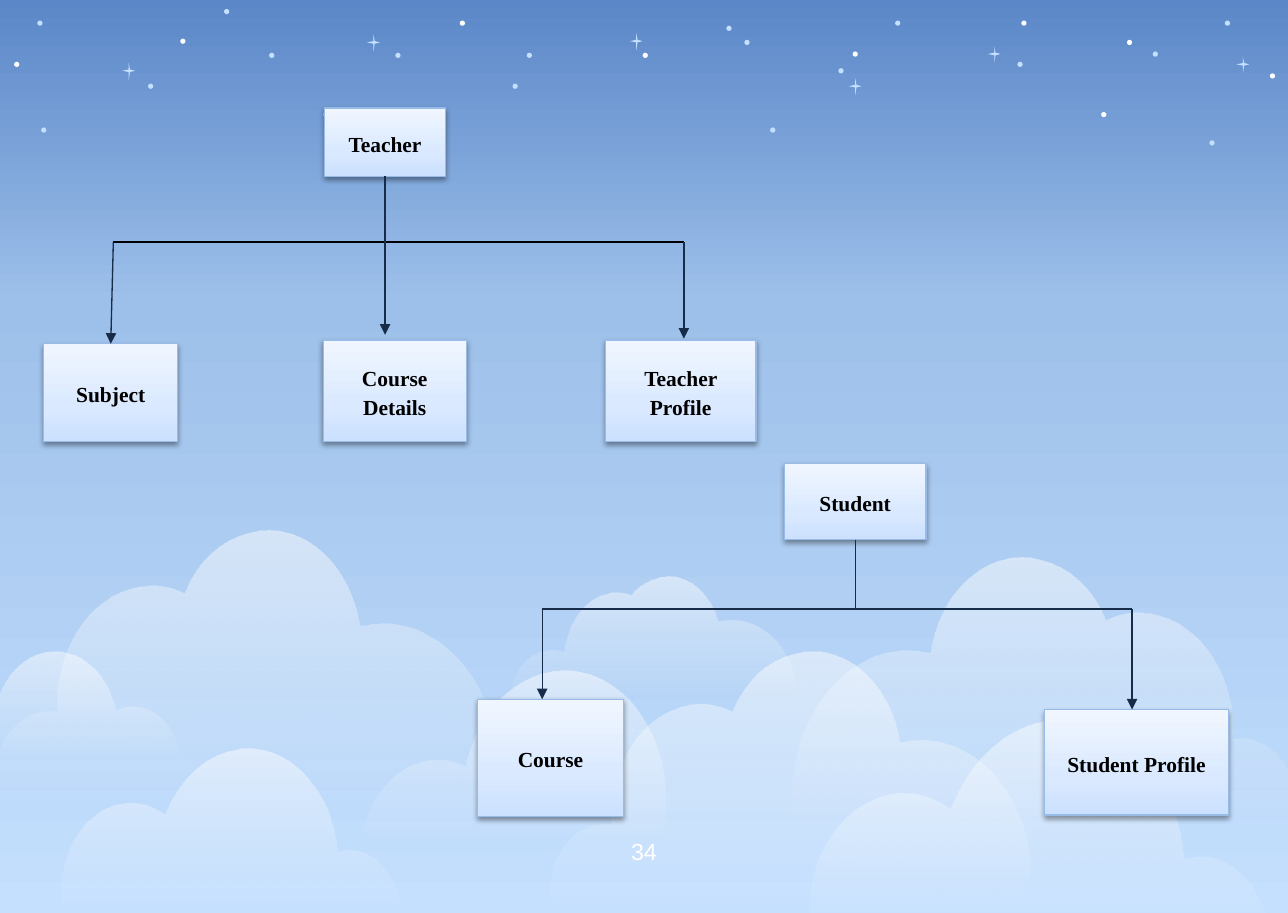
from lxml.etree import SubElement
from pptx import Presentation
from pptx.dml.color import RGBColor
from pptx.enum.shapes import MSO_CONNECTOR as Connector, MSO_SHAPE as Shape
from pptx.enum.text import MSO_ANCHOR as Anchor, PP_ALIGN as Align
from pptx.oxml.ns import qn
from pptx.util import Emu, Pt

EMU_PER_PX = 9144  # 100 px to the inch
SLIDE_W, SLIDE_H = 1000, 709
BOTTOM, TOP = 2, 0  # connection sites of a rectangle

WHITE = RGBColor(0xFF, 0xFF, 0xFF)
BLACK = RGBColor(0x00, 0x00, 0x00)
PALE = RGBColor(0xC5, 0xE0, 0xFE)
NAVY = RGBColor(0x17, 0x2C, 0x49)
BOX_EDGE = RGBColor(0x98, 0xBC, 0xE7)

# Gradient stops from top to bottom: position %, colour, opacity %
SKY = [(0, RGBColor(0x5B, 0x87, 0xC8), 100),
       (33, RGBColor(0x9D, 0xC0, 0xEA), 100), (100, PALE, 100)]
MIST = [(0, WHITE, 51), (100, WHITE, 0)]
BOX_FILL = [(0, RGBColor(0xF0, 0xF6, 0xFF), 100),
            (65, RGBColor(0xDA, 0xE9, 0xFF), 100),
            (100, RGBColor(0xCB, 0xE1, 0xFF), 100)]

# Cloud outlines: width, start point, then Bezier curves
BIG = (392, (390, 212), [
    (391, 203, 392, 194, 392, 185), (392, 123, 352, 72, 302, 72),
    (296, 72, 291, 73, 285, 74), (277, 24, 239, -8, 200, 2),
    (178, 7, 159, 24, 149, 49), (112, 31, 70, 54, 55, 102),
    (52, 112, 50, 123, 50, 134), (50, 137, 51, 139, 51, 141),
    (27, 136, 4, 157, 1, 188), (0, 190, 0, 193, 0, 196),
    (0, 201, 1, 207, 2, 212)])
LOW = (357, (356, 171), [
    (355, 135, 330, 106, 301, 107), (297, 107, 294, 108, 290, 109),
    (285, 43, 239, -5, 187, 1), (153, 5, 124, 31, 109, 70),
    (74, 44, 30, 60, 9, 104), (0, 124, -3, 149, 2, 171)])
SIDE = (236, (230, 136), [
    (246, 85, 226, 27, 186, 7), (146, -13, 100, 11, 84, 62),
    (82, 66, 81, 70, 81, 74), (51, 59, 16, 77, 4, 114),
    (1, 121, 0, 128, 0, 136)])
PUFF = (223, (222, 96), [
    (221, 59, 196, 32, 167, 34), (164, 34, 162, 35, 160, 35),
    (153, 9, 130, -6, 109, 3), (103, 5, 97, 9, 93, 15),
    (71, 7, 49, 22, 43, 49), (42, 52, 41, 55, 41, 59),
    (25, 52, 7, 63, 1, 83), (0, 87, 0, 91, 0, 96)])

# Outline, left, top, width, mirrored
CLOUDS = [
    (BIG, -6, 412, 392, False), (SIDE, 281, 521, 236, False),
    (PUFF, 397, 447, 223, False), (BIG, 427, 506, 373, False),
    (LOW, 48, 581, 263, False), (SIDE, -6, 506, 145, True),
    (LOW, 629, 558, 357, False), (BIG, 615, 433, 392, True)]

PALE_STARS = [
    (951, 16), (564, 20), (790, 48), (695, 16), (409, 41), (307, 41),
    (209, 41), (29, 16), (115, 65), (578, 31), (651, 53), (174, 7),
    (398, 65), (895, 40), (251, 87), (598, 99), (32, 99), (939, 109)]
WHITE_STARS = [
    (793, 16), (875, 31), (357, 16), (140, 30), (986, 57), (11, 48),
    (499, 41), (662, 40), (855, 87)]
SPARKLES = [(95, 49), (767, 36), (960, 44), (489, 26), (285, 27), (659, 61)]
SPARKLE = [(5, 0), (5, 5), (0, 6), (5, 7), (5, 13), (6, 7), (10, 6), (6, 5)]


def px(length):
    return Emu(round(length * EMU_PER_PX))


def bend(shape):
    """Turn each three straight segments of a freeform into one Bezier curve."""
    segments = shape.element.xpath(".//a:lnTo")
    for first in range(0, len(segments), 3):
        curve = SubElement(segments[first].getparent(), qn("a:cubicBezTo"))
        segments[first].addprevious(curve)
        for segment in segments[first:first + 3]:
            curve.append(segment[0])
            segment.getparent().remove(segment)


def add_color(parent, color, opacity):
    rgb = SubElement(parent, qn("a:srgbClr"), val=str(color))
    if opacity < 100:
        SubElement(rgb, qn("a:alpha"), val=str(opacity * 1000))


def fill_downward(fill, owner, stops):
    """Give the owner's fill a gradient that runs from top to bottom."""
    fill.gradient()
    fill.gradient_angle = 270
    stop_list = owner.xpath(".//a:gsLst")[0]
    for old_stop in list(stop_list):
        stop_list.remove(old_stop)
    for position, color, opacity in stops:
        stop = SubElement(stop_list, qn("a:gs"), pos=str(position * 1000))
        add_color(stop, color, opacity)


class SkySlide:
    font = "Times New Roman"
    label_size = Pt(12)
    line_width = Pt(0.75)

    def __init__(self, slide):
        self.shapes = slide.shapes
        fill_downward(slide.background.fill, slide.element, SKY)

    def outline(self, points):
        start, *rest = [(px(x), px(y)) for x, y in points]
        builder = self.shapes.build_freeform(*start)
        builder.add_line_segments(rest, close=True)
        shape = builder.convert_to_shape()
        shape.line.fill.background()
        shape.shadow.inherit = False
        return shape

    def cloud(self, outline, left, top, width, mirrored):
        full_width, start, curves = outline
        scale = width / full_width
        points = [start]
        for curve in curves:
            points.extend(zip(curve[::2], curve[1::2]))
        shape = self.outline([
            (left + scale * (full_width - x if mirrored else x),
             top + scale * y) for x, y in points])
        bend(shape)
        fill_downward(shape.fill, shape.element, MIST)

    def star(self, left, top, color):
        dot = self.shapes.add_shape(Shape.OVAL, px(left), px(top), px(4), px(4))
        dot.fill.solid()
        dot.fill.fore_color.rgb = color
        dot.line.fill.background()
        dot.shadow.inherit = False

    def sparkle(self, left, top):
        shape = self.outline([(left + x, top + y) for x, y in SPARKLE])
        shape.fill.solid()
        shape.fill.fore_color.rgb = PALE

    def box(self, label, left, top, width, height):
        box = self.shapes.add_shape(Shape.RECTANGLE, px(left), px(top),
                                    px(width), px(height))
        fill_downward(box.fill, box.element, BOX_FILL)
        box.line.color.rgb = BOX_EDGE
        box.line.width = self.line_width
        box.shadow.inherit = False
        effects = box.element.spPr.find(qn("a:effectLst"))
        shadow = SubElement(effects, qn("a:outerShdw"), blurRad="40000",
                            dist="20000", dir="5400000", rotWithShape="0")
        add_color(shadow, BLACK, 38)
        box.text_frame.word_wrap = True
        paragraph = self.text(box.text_frame, label, self.font,
                              self.label_size, BLACK)
        paragraph.font.bold = True
        paragraph.line_spacing = 1.11
        paragraph.space_after = Pt(10.4)
        return box

    def text(self, frame, words, font, size, color):
        frame.text = words
        frame.vertical_anchor = Anchor.MIDDLE
        paragraph = frame.paragraphs[0]
        paragraph.alignment = Align.CENTER
        paragraph.font.name = font
        paragraph.font.size = size
        paragraph.font.color.rgb = color
        return paragraph

    def page_number(self, number, left, top, width, height):
        box = self.shapes.add_textbox(px(left), px(top), px(width), px(height))
        box.text_frame.word_wrap = True
        self.text(box.text_frame, number, "Arial", Pt(13), WHITE)

    def line(self, x1, y1, x2, y2, color=NAVY, arrow=False):
        line = self.shapes.add_connector(Connector.STRAIGHT, px(x1), px(y1),
                                         px(x2), px(y2))
        line.line.color.rgb = color
        line.line.width = self.line_width
        if arrow:
            stroke = line.element.xpath(".//a:ln")[0]
            SubElement(stroke, qn("a:tailEnd"), type="triangle")
        SubElement(line.element.spPr, qn("a:effectLst"))
        return line


def main():
    prs = Presentation()
    prs.slide_width, prs.slide_height = px(SLIDE_W), px(SLIDE_H)
    sky = SkySlide(prs.slides.add_slide(prs.slide_layouts[6]))

    for cloud in CLOUDS:
        sky.cloud(*cloud)
    for color, stars in ((PALE, PALE_STARS), (WHITE, WHITE_STARS)):
        for left, top in stars:
            sky.star(left, top, color)
    for left, top in SPARKLES:
        sky.sparkle(left, top)

    teacher = sky.box("Teacher", 252, 84, 94, 53)
    sky.box("Course Details", 251, 264, 111, 79)
    subject = sky.box("Subject", 34, 267, 104, 76)
    sky.box("Teacher Profile", 470, 264, 117, 79)
    sky.line(299, 137, 299, 188).begin_connect(teacher, BOTTOM)
    sky.line(88, 188, 531, 188, BLACK)
    sky.line(88, 188, 86, 267, arrow=True).end_connect(subject, TOP)
    sky.line(299, 185, 299, 260, arrow=True)
    sky.line(531, 188, 531, 263, arrow=True)

    student = sky.box("Student", 609, 360, 110, 59)
    sky.box("Course", 371, 543, 113, 91)
    sky.box("Student Profile", 811, 551, 143, 82)
    sky.line(664, 419, 664, 473).begin_connect(student, BOTTOM)
    sky.line(421, 473, 879, 473)
    sky.line(421, 473, 421, 543, arrow=True)
    sky.line(879, 473, 879, 551, arrow=True)

    sky.page_number("34", 450, 642, 100, 38)
    prs.save("out.pptx")


if __name__ == "__main__":
    main()
